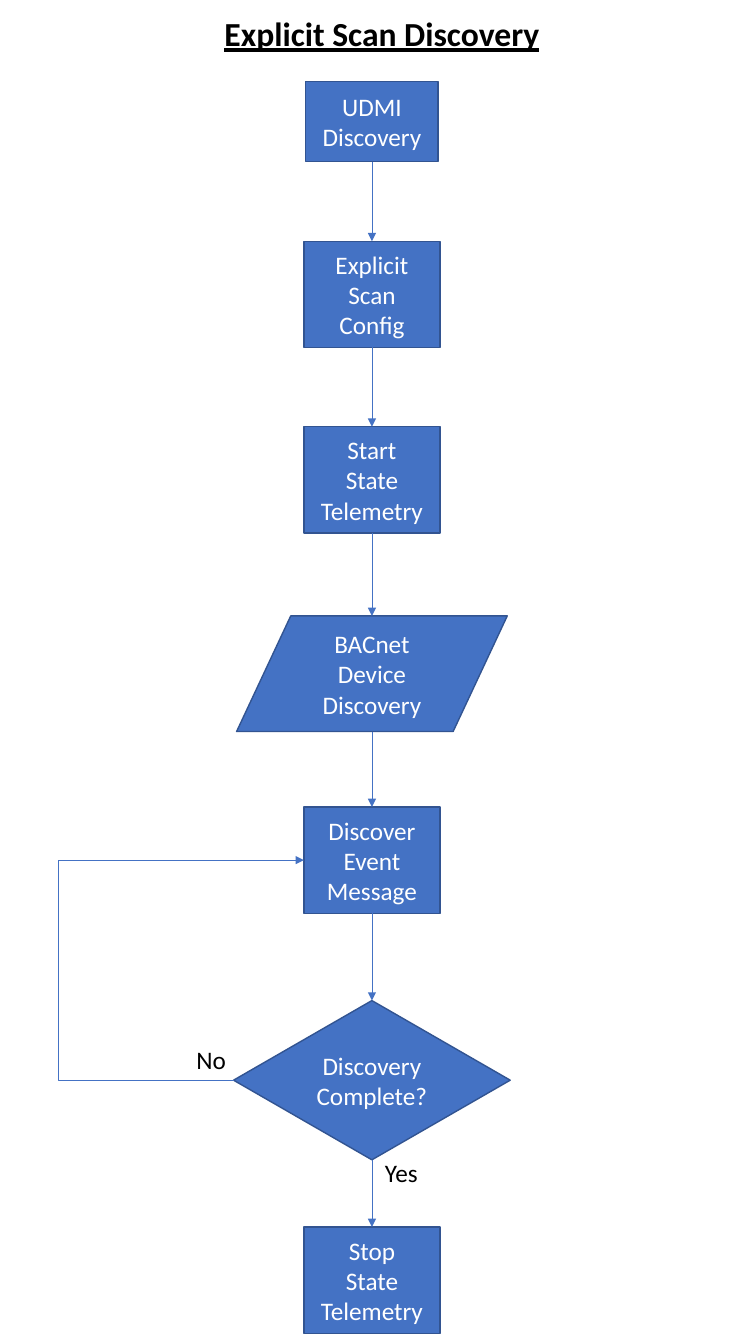
import pptx
import pptx.util
import pptx.dml.color
import pptx.enum.shapes
import pptx.enum.text
import pptx.oxml
import pptx.oxml.ns

SHAPE = pptx.enum.shapes.MSO_SHAPE
CONNECTOR = pptx.enum.shapes.MSO_CONNECTOR
ALIGN = pptx.enum.text.PP_ALIGN
ANCHOR = pptx.enum.text.MSO_ANCHOR
AUTO_SIZE = pptx.enum.text.MSO_AUTO_SIZE


def rgb(value):
    return pptx.dml.color.RGBColor.from_string(value)


def element(tag, attributes=""):
    ns = pptx.oxml.ns.nsdecls("a")
    return pptx.oxml.parse_xml(f"<a:{tag} {ns} {attributes}/>")


class Flowchart:
    """Style and current slide; lengths are hundredths of its width and height."""
    font, fill, outline, ink, paper = "Calibri", "4472C4", "325491", "000000", "FFFFFF"

    def __init__(self, prs):
        self.col = prs.slide_width / 100
        self.row = prs.slide_height / 100
        self.s = prs.slides.add_slide(prs.slide_layouts[5])

    def box(self, left, top, width, height):
        return [round(n) for n in (left * self.col, top * self.row,
                                   width * self.col, height * self.row)]

    def put_text(self, tf, text, color, size=18, align=ALIGN.CENTER):
        tf.text = text
        for p in tf.paragraphs:
            p.alignment = align
            p.font.name, p.font.size = self.font, pptx.util.Pt(size)
            p.font.color.rgb = rgb(color)

    def title(self, text, *place):
        sp = self.s.shapes.title
        sp.left, sp.top, sp.width, sp.height = self.box(*place)
        tf = sp.text_frame
        tf.word_wrap, tf.auto_size = False, AUTO_SIZE.NONE
        tf.vertical_anchor = ANCHOR.MIDDLE
        self.put_text(tf, text, self.ink, 24)
        tf.paragraphs[0].font.bold = tf.paragraphs[0].font.underline = True

    def step(self, kind, text, center, top, width, height):
        sp = self.s.shapes.add_shape(
            kind, *self.box(center - width / 2, top, width, height))
        sp.shadow.inherit = False
        sp.fill.solid()
        sp.fill.fore_color.rgb = rgb(self.fill)
        sp.line.color.rgb = rgb(self.outline)
        sp.line.width = pptx.util.Pt(1)
        sp.text_frame.word_wrap = True
        sp.text_frame.vertical_anchor = ANCHOR.MIDDLE
        self.put_text(sp.text_frame, text, self.paper)
        return sp

    def arrow(self, kind, start, end):
        cx = self.s.shapes.add_connector(kind, *start, *end)
        cx.line.color.rgb = rgb(self.fill)
        cx.line.width = pptx.util.Pt(0.5)
        spPr = cx._element.spPr
        spPr.find(pptx.oxml.ns.qn("a:ln")).append(element("tailEnd", 'type="triangle"'))
        spPr.append(element("effectLst"))
        return cx

    def down(self, upper, lower):
        x = upper.left + upper.width // 2
        self.arrow(CONNECTOR.STRAIGHT, (x, upper.top + upper.height), (x, lower.top))

    def loop_back(self, source, target, lane):
        """Elbow between left sides, with its upright part at column lane."""
        start, end = [(sp.left, sp.top + sp.height // 2) for sp in (source, target)]
        cx = self.arrow(CONNECTOR.ELBOW, start, end)
        bend = round((lane * self.col - start[0]) / (end[0] - start[0]) * 100000)
        geometry = cx._element.spPr.find(pptx.oxml.ns.qn("a:prstGeom"))
        for old in list(geometry):
            geometry.remove(old)
        guides = element("avLst")
        guides.append(element("gd", f'name="adj1" fmla="val {bend}"'))
        geometry.append(guides)

    def label(self, text, *place):
        tf = self.s.shapes.add_textbox(*self.box(*place)).text_frame
        tf.word_wrap = False
        self.put_text(tf, text, self.ink, align=ALIGN.LEFT)


prs = pptx.Presentation()
prs.slide_width = pptx.util.Inches(7.5)
prs.slide_height = pptx.util.Inches(13.33)
chart = Flowchart(prs)

# Title
chart.title("Explicit Scan Discovery", 28.13, 0.6, 44.8, 3.75)

# Steps, all centred on one axis: kind, text, top, width, height
AXIS = 49.2
PROCESS_SIZE = (18, 7.9)
steps = [chart.step(kind, text, AXIS, top, *size) for kind, text, top, size in (
    (SHAPE.FLOWCHART_PROCESS, "UDMI Discovery", 6.08, (17.5, 5.95)),
    (SHAPE.FLOWCHART_PROCESS, "Explicit Scan Config", 17.95, PROCESS_SIZE),
    (SHAPE.FLOWCHART_PROCESS, "Start\nState Telemetry", 31.75, PROCESS_SIZE),
    (SHAPE.FLOWCHART_DATA, "BACnet Device Discovery", 45.83, (35.8, 8.6)),
    (SHAPE.FLOWCHART_PROCESS, "Discover Event Message", 60.05, PROCESS_SIZE),
    (SHAPE.FLOWCHART_DECISION, "Discovery Complete?", 74.45, (36.6, 11.85)),
    (SHAPE.FLOWCHART_PROCESS, "Stop\nState Telemetry", 91.3, PROCESS_SIZE),
)]

# Flow between neighbours, and the loop back from the decision
for upper, lower in zip(steps, steps[1:]):
    chart.down(upper, lower)
event, decision = steps[4:6]
chart.loop_back(decision, event, 7.75)

# Branch labels
chart.label("No", 24.67, 77.35, 6.67, 3)
chart.label("Yes", 49.6, 85.75, 7.07, 3)

prs.save("out.pptx")
